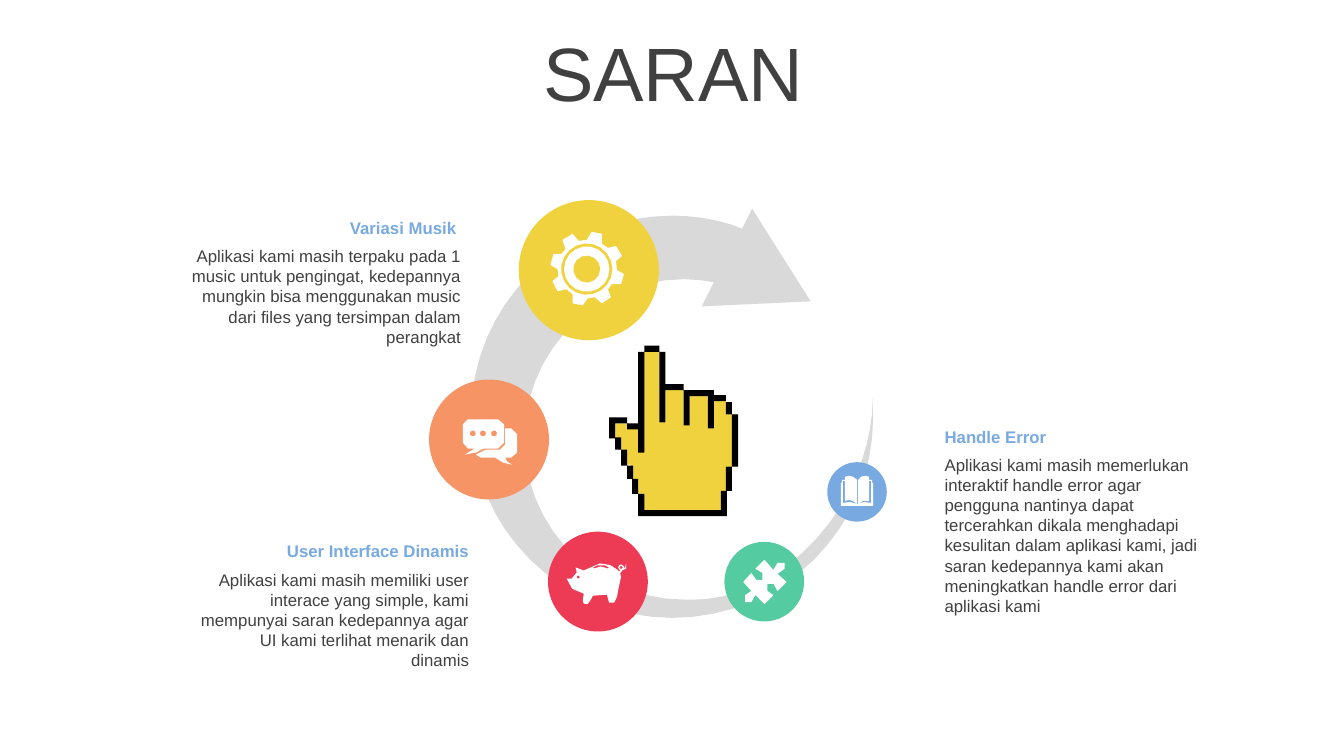
from math import ceil, cos, dist, pi, radians, sin

from pptx import Presentation
from pptx.dml.color import RGBColor
from pptx.enum.shapes import MSO_SHAPE as Shape
from pptx.enum.text import MSO_ANCHOR as Anchor, MSO_AUTO_SIZE as AutoSize, PP_ALIGN as Align
from pptx.util import Inches, Pt

GREY = RGBColor(0xD9, 0xD9, 0xD9)
INK = RGBColor(0x40, 0x40, 0x40)
BLUE = RGBColor(0x78, 0xAA, 0xE1)
GREEN = RGBColor(0x54, 0xCB, 0xA0)
RED = RGBColor(0xED, 0x3B, 0x55)
ORANGE = RGBColor(0xF7, 0x94, 0x65)
YELLOW = RGBColor(0xF0, 0xD2, 0x3F)
WHITE = RGBColor(0xFF, 0xFF, 0xFF)
BLACK = RGBColor(0x00, 0x00, 0x00)

FONT = "Arial"
TITLE = "SARAN"
SUGGESTIONS = [
    ("Variasi Musik ",
     "Aplikasi kami masih terpaku pada 1 music untuk pengingat, kedepannya mungkin bisa "
     "menggunakan music dari files yang tersimpan dalam perangkat",
     1.79, 2.11, 1.11, Align.RIGHT),
    ("User Interface Dinamis",
     "Aplikasi kami masih memiliki user interace yang simple, kami mempunyai saran "
     "kedepannya agar UI kami terlihat menarik dan dinamis",
     1.87, 5.32, 1.11, Align.RIGHT),
    ("Handle Error",
     "Aplikasi kami masih memerlukan interaktif handle error agar pengguna nantinya dapat "
     "tercerahkan dikala menghadapi kesulitan dalam aplikasi kami, jadi saran kedepannya "
     "kami akan meningkatkan handle error dari aplikasi kami",
     9.27, 4.18, 1.72, Align.LEFT),
]
TEXT_WIDTH, HEADING_HEIGHT, BODY_OFFSET = 2.88, 0.3, 0.28

BUBBLES = [(8.5, 4.88, BLUE), (7.58, 5.77, GREEN), (5.93, 5.77, RED),
           (4.85, 4.36, ORANGE), (5.84, 2.68, YELLOW)]
SMALLEST_BUBBLE, BUBBLE_GROWTH = 0.59, 0.2

SWIRL = """M 746 207 L 804 299 696 304 708 280 695 278 679 277
 C 591 277 520 348 520 436 520 524 591 595 679 595 L 686 595
 C 738 596 797 562 834 502 852 472 862 440 865 410 L 865 394 866 414
 C 866 524 777 613 667 613 556 613 467 524 467 414 467 303 556 214 667 214
 687 214 707 217 726 223 L 736 227"""
BOOK = """M 850 500 L 846 497 842 496 838 497 838 477 836 477 836 499 843 498
 M 851 500 L 857 498 864 499 864 477 862 477 862 497 856 497 851 500 851 476
 854 473 858 472 862 473 862 476 865 476 865 479 866 479 866 502 834 502 834 479
 835 479 835 476 838 476 838 473 842 472 846 473 850 476 850 500"""
PIG = """O 573.5 572.5 1.5 O 616 563 1.5
 M 596 561 L 592 561 588 563 589 564 596 562 603 564 604 563 600 561
 M 595 559 C 602 559 609 561 612 565 L 614 567 615 566 613 563 614 561 616 560
 618 561 619 563 618 564 620 563 621 559 621 564 617 566 615 569 616 572
 C 617 578 615 584 613 586 L 612 592 609 598 604 598 602 590 588 591 586 595 583 599
 579 599 578 596 579 589 C 573 587 560 583 562 574 L 567 574 572 568 571 563
 C 576 560 577 564 579 566 583 562 591 559 595 559"""
PUZZLE = """M 778 558 C 779 559 780 562 778 564 776 567 774 565 771 569 L 780 577 771 586
 C 768 584 769 581 767 579 765 578 762 578 761 579 759 581 759 584 761 586
 764 589 765 587 767 590 L 758 599 749 590 C 746 593 748 594 745 597
 743 599 740 598 739 597 737 595 737 592 739 590 741 588 743 589 745 586
 L 737 577 745 568 C 749 571 747 573 750 575 752 577 755 576 756 575
 758 573 758 570 756 568 753 566 752 567 749 564 L 758 555 767 565
 C 770 562 769 561 771 558 773 556 776 556 778 558"""
CHAT = """O 490 430 3 O 479 430 3 O 469 430 3
 M 501 425 L 507 425 C 510 425 513 428 513 431 L 513 449 C 513 452 510 454 507 454
 L 501 454 503 458 508 461 499 459 491 454 477 454 472 451 482 446 496 446
 C 499 446 501 444 501 441
 M 464 416 L 494 416 C 497 416 500 418 500 421 L 500 439 C 500 442 497 445 494 445
 L 480 445 472 449 461 451 471 445 464 445
 C 461 445 459 442 459 439 L 459 421 C 459 418 461 416 464 416"""
GEAR = """O 582 267 13.5 O 582 267 22.5 O 582 267 25.5
 M 597 232 L 597 242 603 246 611 244 617 254 611 259 612 268 619 272 616 282 607 282
 603 287 606 295 597 301 590 295 583 296 578 303 568 301 568 292 562 287 553 289
 548 279 554 274 553 267 546 263 549 252 557 252 561 247 558 238 568 232 574 239
 582 238 587 230"""
HAND = """M 639 349 L 654 349 654 419 660 419 660 387 678 387 678 419 684 419 684 392
 702 392 702 419 702 397 720 397 720 411 731 411 731 463 720 463 720 487 718 487
 718 507 637 507 637 490 633 490 633 475 626 475 626 461 618 461 618 446 613 446
 613 435 605 435 605 420 623 420 623 421 631 421 631 422 637 422 637 419 639 419"""
HAND_EDGES = [
    (639, 343, 654, 349), (633, 349, 639, 449), (654, 349, 660, 419), (660, 381, 678, 387),
    (678, 387, 684, 422), (684, 387, 702, 393), (702, 387, 708, 425), (708, 392, 720, 398),
    (720, 399, 726, 411), (726, 411, 732, 463), (720, 463, 726, 487), (715, 487, 721, 512),
    (639, 506, 715, 512), (633, 490, 639, 512), (627, 475, 633, 490), (622, 462, 628, 475),
    (616, 446, 622, 462), (610, 434, 616, 446), (604, 414, 610, 435), (610, 414, 622, 420),
    (622, 420, 633, 426),
]
CHORD = 18
ARITY = {"M": 2, "L": 2, "C": 6, "O": 3}


def bezier(start, numbers):
    points = [start, *zip(numbers[::2], numbers[1::2])]
    steps = ceil(dist(points[0], points[-1]) / CHORD)
    for step in range(1, steps + 1):
        t = step / steps
        weights = ((1 - t) ** 3, 3 * t * (1 - t) ** 2, 3 * t * t * (1 - t), t ** 3)
        yield tuple(sum(w * p[axis] for w, p in zip(weights, points)) for axis in (0, 1))


def circle(x, y, radius):
    steps = 6 + ceil(radius / 2)
    angles = (2 * pi * step / steps for step in range(steps))
    return [(x + radius * cos(a), y + radius * sin(a)) for a in angles]


def contours(outline):
    tokens, result, command = outline.split(), [], "M"
    while tokens:
        if tokens[0].isalpha():
            command = tokens.pop(0)
        count = ARITY[command]
        numbers, tokens = [float(n) for n in tokens[:count]], tokens[count:]
        if command == "M":
            result.append([tuple(numbers)])
        elif command == "O":
            result.append(circle(*numbers))
        elif command == "L":
            result[-1].append(tuple(numbers))
        else:
            result[-1].extend(list(bezier(result[-1][-1], numbers)))
    return result


def rotated(loops, center, degrees):
    c, s = cos(radians(degrees)), sin(radians(degrees))
    cx, cy = center
    return [[(cx + (x - cx) * c - (y - cy) * s, cy + (x - cx) * s + (y - cy) * c)
             for x, y in loop] for loop in loops]


def paint(shape, color):
    shape.shadow.inherit = False
    shape.fill.solid()
    shape.fill.fore_color.rgb = color
    shape.line.fill.background()


def draw(slide, loops, color):
    scaled = [[(Inches(x / 100), Inches(y / 100)) for x, y in loop] for loop in loops]
    builder = slide.shapes.build_freeform(*scaled[0][0], scale=1.0)
    for index, loop in enumerate(scaled):
        if index:
            builder.move_to(*loop[0])
        builder.add_line_segments(loop[1:], close=True)
    shape = builder.convert_to_shape()
    paint(shape, color)
    return shape


def write(slide, text, box, align, color, bold):
    frame = slide.shapes.add_textbox(*map(Inches, box)).text_frame
    frame.word_wrap = True
    paragraph = frame.paragraphs[0]
    paragraph.text, paragraph.alignment = text, align
    font = paragraph.font
    font.name, font.size, font.bold, font.color.rgb = FONT, Pt(12), bold, color


def main():
    deck = Presentation()
    deck.slide_width, deck.slide_height = Inches(13.33), Inches(7.5)
    slide = deck.slides.add_slide(deck.slide_layouts[5])

    title = slide.shapes.title
    title.left, title.top, title.width, title.height = map(Inches, (0.35, 0.37, 12.66, 0.79))
    frame = title.text_frame
    frame.text = TITLE
    frame.auto_size, frame.vertical_anchor = AutoSize.NONE, Anchor.MIDDLE
    heading = frame.paragraphs[0]
    heading.alignment, heading.line_spacing, heading.space_before = Align.CENTER, 0.9, Pt(10)
    heading.font.name, heading.font.size, heading.font.color.rgb = FONT, Pt(54), INK

    draw(slide, contours(SWIRL), GREY)
    for rank, (x, y, color) in enumerate(BUBBLES):
        size = SMALLEST_BUBBLE + BUBBLE_GROWTH * rank
        box = (x - size / 2, y - size / 2, size, size)
        paint(slide.shapes.add_shape(Shape.OVAL, *map(Inches, box)), color)
    for icon in (BOOK, PIG, CHAT, GEAR):
        draw(slide, contours(icon), WHITE)
    draw(slide, rotated(contours(PUZZLE), (758.5, 577), -45), WHITE).rotation = 45
    draw(slide, contours(HAND), YELLOW)
    draw(slide, [[(l, t), (r, t), (r, b), (l, b)] for l, t, r, b in HAND_EDGES], BLACK)

    for topic, advice, left, top, height, align in SUGGESTIONS:
        write(slide, topic, (left, top, TEXT_WIDTH, HEADING_HEIGHT), align, BLUE, True)
        write(slide, advice, (left, top + BODY_OFFSET, TEXT_WIDTH, height), align, INK, False)

    deck.save("out.pptx")


if __name__ == "__main__":
    main()
